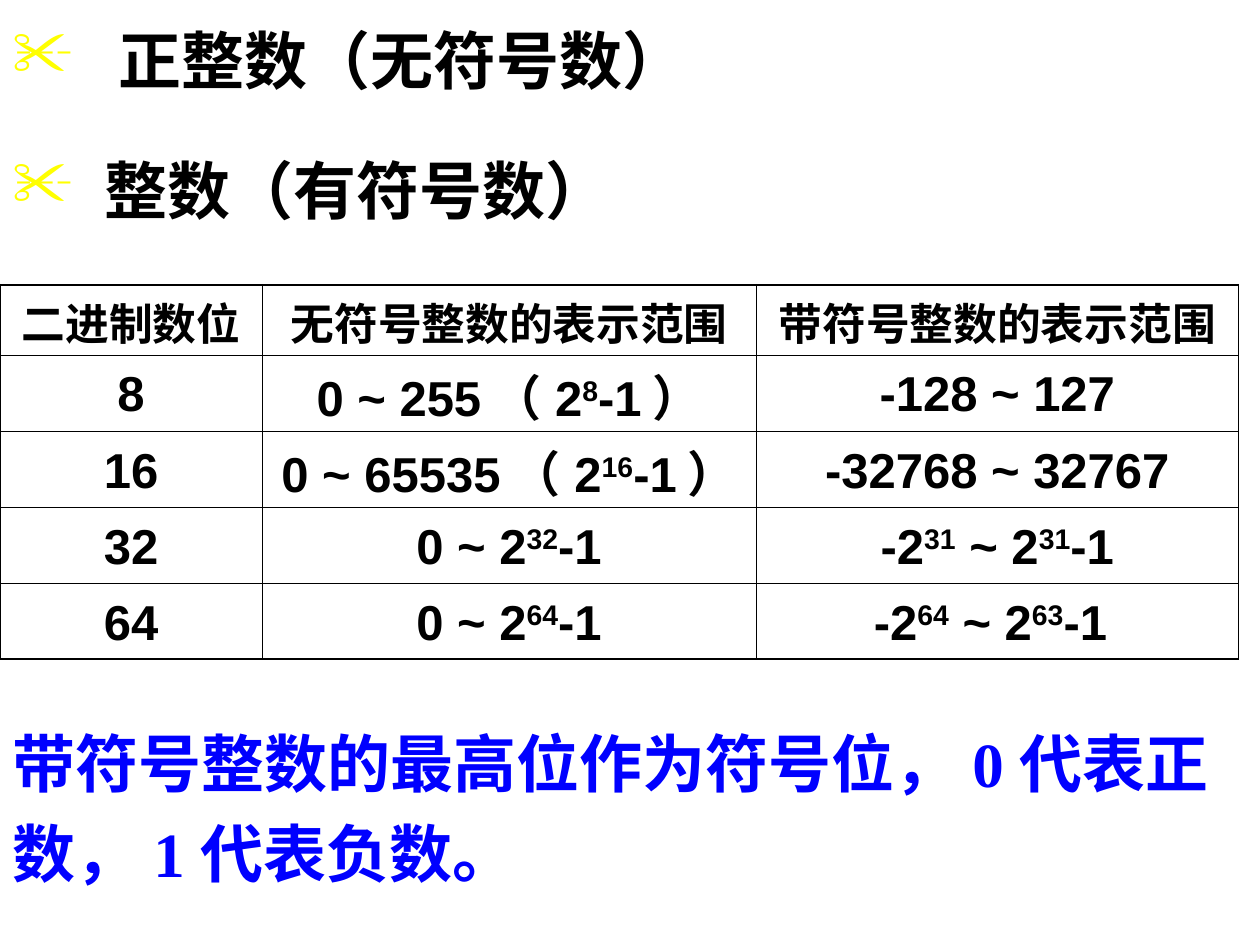
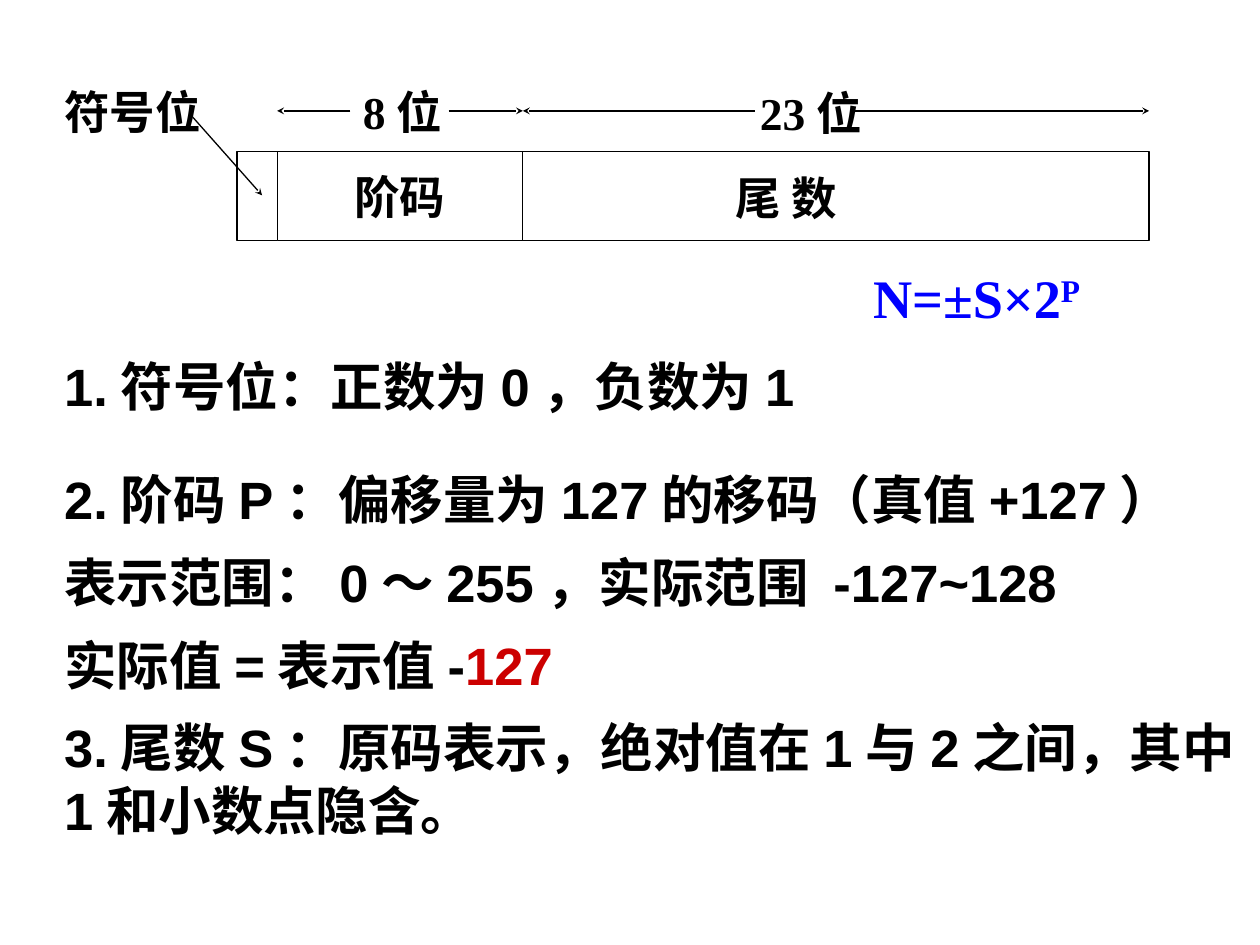
from lxml import etree
from pptx import Presentation
from pptx.dml.color import RGBColor
from pptx.enum.shapes import MSO_CONNECTOR, MSO_SHAPE
from pptx.enum.text import MSO_ANCHOR, PP_ALIGN
from pptx.oxml.ns import qn
from pptx.util import Inches, Pt

BLACK = RGBColor(0x00, 0x00, 0x00)
WHITE = RGBColor(0xFF, 0xFF, 0xFF)
BLUE = RGBColor(0x00, 0x00, 0xFF)
RED = RGBColor(0xCC, 0x00, 0x00)
YELLOW = RGBColor(0xFF, 0xFF, 0x00)

SANS, SERIF = "Arial", "Times New Roman"
LEFT, MIDDLE, JUSTIFY = PP_ALIGN.LEFT, PP_ALIGN.CENTER, PP_ALIGN.JUSTIFY
TOP, CENTER = MSO_ANCHOR.TOP, MSO_ANCHOR.MIDDLE
RECT, LINE = MSO_SHAPE.RECTANGLE, MSO_CONNECTOR.STRAIGHT

# The grid has 100 columns and 75 rows
WIDE, HIGH = Inches(10), Inches(7.5)
COLS, ROWS = 100, 75
THICK, THIN = 1.08, 0.45
TIGHT, ROOMY = (0.1, 0.05), (0.13, 0.06)


def col(n):
    return round(WIDE * n / COLS)


def row(n):
    return round(HIGH * n / ROWS)


def add_sub(node, tag, **attrs):
    return etree.SubElement(node, qn(tag), **attrs)


def write(frame, *lines, size=26, font=SERIF, color=BLACK, align=LEFT,
          space=1.0, before=0, after=0, mark=None, hang=(), left=0):
    """Write one paragraph per line; text between ^ signs is raised,
    or takes the colour given as mark. hang holds the bullet indents."""
    for i, line in enumerate(lines):
        para = frame.paragraphs[0] if i == 0 else frame.add_paragraph()
        props = para._p.get_or_add_pPr()
        gap = col(hang[i]) if hang else col(left)
        props.set("marL", str(gap))
        props.set("indent", str(-gap if hang else 0))
        if hang:
            tint = add_sub(props, "a:buClr")
            add_sub(tint, "a:srgbClr", val=str(YELLOW))
            add_sub(props, "a:buChar", char="✂")
        else:
            add_sub(props, "a:buNone")
        para.alignment, para.line_spacing = align, space
        para.space_before = Pt(before if i else 0)
        para.space_after = Pt(after)
        for j, part in enumerate(line.split("^")):
            if not part:
                continue
            run = para.add_run()
            run.text = part
            run.font.name, run.font.size, run.font.bold = font, Pt(size), True
            run.font.color.rgb = mark if mark and j % 2 else color
            if j % 2 and not mark:
                run._r.get_or_add_rPr().set("baseline", "30000")


class Deck:
    def __init__(self):
        self.file = Presentation()
        self.file.slide_width, self.file.slide_height = WIDE, HIGH
        self.page = None

    def new_page(self):
        self.page = self.file.slides.add_slide(self.file.slide_layouts[6])

    def fit(self, frame, inset):
        frame.word_wrap, frame.vertical_anchor = True, TOP
        frame.margin_left = frame.margin_right = Inches(inset[0])
        frame.margin_top = frame.margin_bottom = Inches(inset[1])

    def text(self, x, y, w, h, *lines, inset=ROOMY, **style):
        box = self.page.shapes.add_textbox(col(x), row(y), col(w), row(h))
        self.fit(box.text_frame, inset)
        write(box.text_frame, *lines, **style)

    def rect(self, x, y, w, h):
        shape = self.page.shapes.add_shape(RECT, col(x), row(y), col(w), row(h))
        shape.shadow.inherit = False
        shape.fill.solid()
        shape.fill.fore_color.rgb = WHITE
        shape.line.color.rgb, shape.line.width = BLACK, Pt(0.75)
        self.fit(shape.text_frame, ROOMY)
        return shape

    def arrow(self, x1, y1, x2, y2):
        line = self.page.shapes.add_connector(
            LINE, col(x1), row(y1), col(x2), row(y2))
        line.line.color.rgb, line.line.width = BLACK, Pt(0.75)
        add_sub(line.line._get_or_add_ln(), "a:tailEnd",
                type="stealth", w="sm", len="sm")
        add_sub(line._element.spPr, "a:effectLst")

    def table(self, x, y, widths, heights, data):
        grid = self.page.shapes.add_table(
            len(heights), len(widths), col(x), row(y),
            col(sum(widths)), row(sum(heights))).table
        grid.first_row = grid.horz_banding = False
        for c, w in enumerate(widths):
            grid.columns[c].width = col(w)
        end, last = len(widths) - 1, len(heights) - 1
        for r, h in enumerate(heights):
            grid.rows[r].height = row(h)
            for c, value in enumerate(data[r]):
                cell = grid.cell(r, c)
                self.edge(cell, L=c == 0, R=c == end, T=r == 0, B=r == last)
                cell.fill.background()
                cell.vertical_anchor = CENTER
                cell.margin_top, cell.margin_bottom = Inches(0.03), 0
                write(cell.text_frame, value, size=28 if r else 25,
                      font=SANS, align=MIDDLE)

    def edge(self, cell, **outer):
        props = cell._tc.get_or_add_tcPr()
        for side, bold in outer.items():
            line = add_sub(props, "a:ln" + side,
                           w=str(Pt(THICK if bold else THIN)))
            fill = add_sub(line, "a:solidFill")
            add_sub(fill, "a:srgbClr", val=str(BLACK))


def show_range(deck):
    deck.new_page()
    deck.table(0, 22.6, (20.8, 39.2, 38.3), (5.6, 6, 6.1, 6, 6), (
        ("二进制数位", "无符号整数的表示范围", "带符号整数的表示范围"),
        ("8", "0 ~ 255（2^8^-1）", "-128 ~ 127"),
        ("16", "0 ~ 65535（2^16^-1）", "-32768 ~ 32767"),
        ("32", "0 ~ 2^32^-1", "-2^31^ ~ 2^31^-1"),
        ("64", "0 ~ 2^64^-1", "-2^64^ ~ 2^63^-1 "),
    ))
    deck.text(0, 55.8, 100, 15.4,
              "带符号整数的最高位作为符号位，0代表正数，1代表负数。",
              inset=TIGHT, size=36, color=BLUE, space=1.2)
    deck.text(0, 0, 84.2, 18.5, "正整数（无符号数）", "整数（有符号数）",
              inset=TIGHT, size=36, space=1.2, before=22.5, hang=(8.4, 7.3))


def show_float(deck):
    deck.new_page()
    # Three fields of the number
    edges = (18.8, 22, 41.5, 91.2)
    fields = [deck.rect(a, 12, b - a, 7.1) for a, b in zip(edges, edges[1:])]
    write(fields[2].text_frame, "尾 数", align=JUSTIFY, space=1.2, left=15.6)
    deck.text(19.6, 10.2, 24.3, 10.3, "阶码", align=MIDDLE, space=1.6)

    # Widths of the fields
    deck.text(3.8, 4.8, 14.6, 7.6, "符号位", align=JUSTIFY, space=1.3)
    deck.arrow(15.3, 9.3, 20.8, 15.5)
    for start, tip in ((35.6, edges[2]), (27.8, edges[1]),
                       (59.9, edges[2]), (67.7, edges[3])):
        deck.arrow(start, 8.8, tip, 8.8)
    deck.text(26.3, 4.8, 11.3, 7.1, "8位", align=MIDDLE, space=1.3)
    deck.text(57.9, 4.4, 12.9, 7.2, "23位", align=MIDDLE, space=1.4)

    # Formula and notes
    deck.text(68, 20.4, 22, 6.4, "N=±S×2^P^", size=31, color=BLUE)
    note = dict(size=30, font=SANS)
    deck.text(3.8, 27.5, 70.3, 6.3, "1.符号位：正数为0，负数为1", **note)
    deck.text(3.8, 36.5, 96.2, 31,
              "2.阶码P：偏移量为127的移码（真值+127）",
              "表示范围：0～255，实际范围 -127~128",
              "实际值=表示值-^127^",
              "3.尾数S：原码表示，绝对值在1与2之间，其中1和小数点隐含。",
              before=7.5, after=3.7, mark=RED, **note)


def main():
    deck = Deck()
    show_range(deck)
    show_float(deck)
    deck.file.save("out.pptx")


if __name__ == "__main__":
    main()
